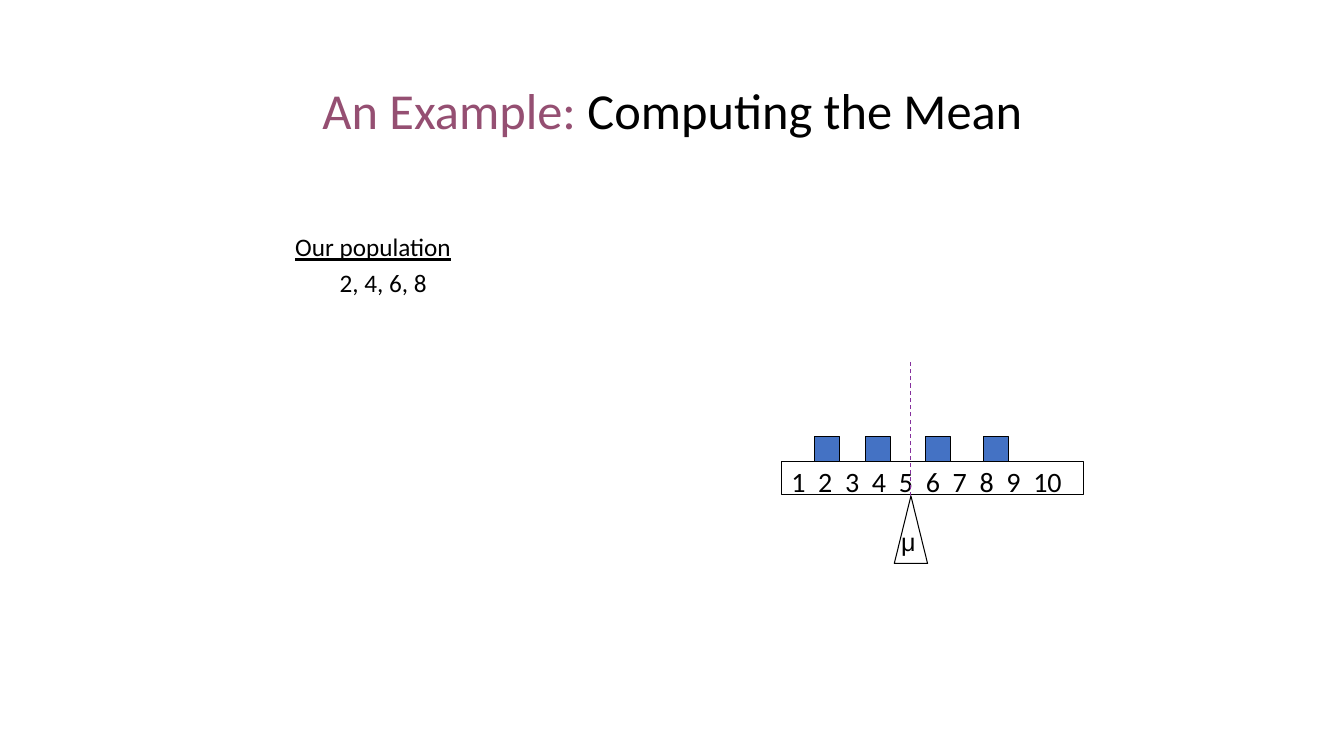
from dataclasses import dataclass

from lxml.etree import SubElement
from pptx import Presentation
from pptx.dml.color import RGBColor
from pptx.enum.dml import MSO_LINE_DASH_STYLE as Dash
from pptx.enum.shapes import MSO_CONNECTOR as Connector, MSO_SHAPE as Shape
from pptx.enum.text import MSO_ANCHOR as Anchor, MSO_AUTO_SIZE as AutoSize
from pptx.oxml.ns import qn
from pptx.util import Inches, Pt


@dataclass(frozen=True)
class Theme:
    ink: RGBColor = RGBColor.from_string("000000")
    accent: RGBColor = RGBColor.from_string("954F72")
    weight: RGBColor = RGBColor.from_string("4472C4")
    mean_line: RGBColor = RGBColor.from_string("85309D")
    font: str = "Calibri"
    symbol_font: str = "Arial"
    title_size: int = 36
    scale_size: int = 20
    body_size: int = 18
    line_width: float = 0.75


class SlideBuilder:
    def __init__(self, slide, theme):
        self.slide = slide
        self.theme = theme
        self.shapes = slide.shapes

    def start_group(self):
        """Place all following elements in a new group."""
        self.shapes = self.slide.shapes.add_group_shape().shapes

    def style_run(self, r, size, color=None, font=None):
        r.font.size = Pt(size)
        r.font.name = font or self.theme.font
        r.font.color.rgb = color or self.theme.ink

    def title(self, parts, left, top, width, height):
        s = self.slide.shapes.title
        s.left, s.top, s.width, s.height = map(Inches, (left, top, width, height))
        tf = s.text_frame
        tf.vertical_anchor = Anchor.MIDDLE
        p = tf.paragraphs[0]
        p.line_spacing = 0.9
        for text, color in parts:
            r = p.add_run()
            r.text = text
            self.style_run(r, self.theme.title_size, color)

    def text(self, text, left, top, width, height, size=None, font=None,
             underline=None, tab_step=None):
        s = self.shapes.add_textbox(*map(Inches, (left, top, width, height)))
        tf = s.text_frame
        tf.word_wrap = tab_step is not None
        tf.auto_size = AutoSize.SHAPE_TO_FIT_TEXT
        tf.text = text
        p = tf.paragraphs[0]
        if tab_step:
            tabs = SubElement(p._p.get_or_add_pPr(), qn("a:tabLst"))
            for i in range(1, text.count("\t") + 1):
                SubElement(tabs, qn("a:tab"), pos=str(Inches(tab_step * i)), algn="l")
        for r in p.runs:
            self.style_run(r, size or self.theme.body_size, font=font)
            r.font.underline = underline

    def shape(self, kind, left, top, width, height, fill=None):
        s = self.shapes.add_shape(kind, *map(Inches, (left, top, width, height)))
        s.shadow.inherit = False
        if fill is None:
            s.fill.background()
        else:
            s.fill.solid()
            s.fill.fore_color.rgb = fill
        s.line.color.rgb = self.theme.ink
        s.line.width = Pt(self.theme.line_width)
        return s

    def dashed_line_up(self, base, top):
        """Draw a dashed vertical line from the tip of base up to top."""
        x = base.left + base.width // 2
        line = self.shapes.add_connector(Connector.STRAIGHT, x, base.top, x, Inches(top))
        line.begin_connect(base, 0)
        line.line.color.rgb = self.theme.mean_line
        line.line.width = Pt(self.theme.line_width)
        line.line.dash_style = Dash.DASH
        SubElement(line._element.spPr, qn("a:effectLst"))


def main():
    prs = Presentation()
    prs.slide_width, prs.slide_height = Inches(13.33), Inches(7.5)
    theme = Theme()
    b = SlideBuilder(prs.slides.add_slide(prs.slide_layouts[5]), theme)

    b.title([("An Example:", theme.accent), (" Computing the Mean", theme.ink)],
            0.92, 0.4, 11.5, 1.45)
    b.text("Our population", 2.83, 2.25, 1.77, 0.4, underline=True)
    b.text("2, 4, 6, 8", 3.27, 2.6, 1.08, 0.4)

    b.start_group()
    beam_left, beam_top, beam_height = 7.75, 4.58, 0.33
    b.shape(Shape.RECTANGLE, beam_left, beam_top, 3, beam_height)
    b.text("\t".join(str(n) for n in range(1, 11)), beam_left, 4.56, 2.98, 0.43,
           size=theme.scale_size, tab_step=2.4 / 9)
    side = 0.25
    for left in (8.08, 8.58, 9.18, 9.75):
        b.shape(Shape.RECTANGLE, left, beam_top - side, side, side, theme.weight)
    pivot = b.shape(Shape.ISOSCELES_TRIANGLE, 8.87, 4.92, 0.33, 0.67)
    b.text("μ", 8.84, 5.17, 0.35, 0.4, font=theme.symbol_font)
    b.dashed_line_up(pivot, 3.58)

    prs.save("out.pptx")


if __name__ == "__main__":
    main()
